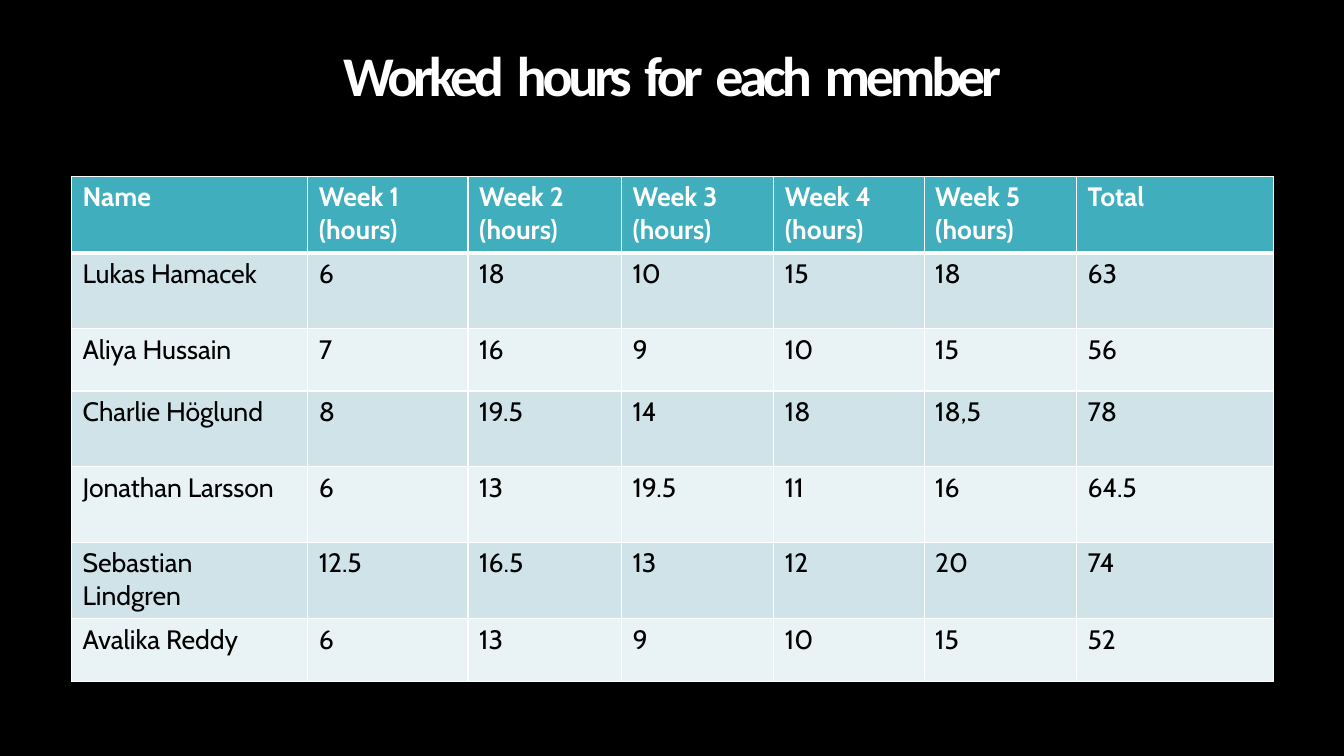
from lxml.etree import fromstring
from pptx import Presentation
from pptx.dml.color import RGBColor
from pptx.enum.text import MSO_ANCHOR, PP_ALIGN
from pptx.util import Inches, Pt

COLORS = {
    "background": "000000",
    "title": "FFFFFF",
    "header": "41AEBD",
    "header_text": "FFFFFF",
    "odd_row": "CFE3E8",
    "even_row": "E9F2F4",
    "body_text": "000000",
    "border": "FFFFFF",
}
SLIDE_WIDTH, SLIDE_HEIGHT = 13.33, 7.5
TITLE_BOX = (0, 0.43, SLIDE_WIDTH, 1.05)
TABLE_BOX = (0.71, 1.75, 11.92, 5.01)
COLUMN_WIDTHS = (2.34, 1.59, 1.52, 1.51, 1.49, 1.51, 1.95)
ROW_HEIGHTS = (0.76, 0.75, 0.62, 0.75, 0.75, 0.76, 0.62)
HEADINGS = ["Name", *(f"Week {week} (hours)" for week in range(1, 6)), "Total"]
MEMBERS = [
    ("Lukas Hamacek", "6", "18", "10", "15", "18", "63"),
    ("Aliya Hussain", "7", "16", "9", "10", "15", "56"),
    ("Charlie Höglund", "8", "19.5", "14", "18", "18,5", "78"),
    ("Jonathan Larsson", "6", "13", "19.5", "11", "16", "64.5"),
    ("Sebastian Lindgren", "12.5", "16.5", "13", "12", "20", "74"),
    ("Avalika Reddy", "6", "13", "9", "10", "15", "52"),
]
DRAWING = "http://schemas.openxmlformats.org/drawingml/2006/main"


def rgb(name):
    return RGBColor.from_string(COLORS[name])


def write_text(frame, text, *, font, size, color, bold=False,
               align=PP_ALIGN.LEFT, line_spacing=None, tracking=None):
    """Fill the first paragraph; tracking is letter spacing in points."""
    para = frame.paragraphs[0]
    para.alignment = align
    para.line_spacing = line_spacing
    span = para.add_run()
    span.text = text
    span.font.name = font
    span.font.size = Pt(size)
    span.font.bold = bold
    span.font.color.rgb = rgb(color)
    if tracking is not None:
        span.font._element.set("spc", str(round(tracking * 100)))


def set_borders(cell, top, bottom):
    """Draw the four edges, whose elements must stand before the fill."""
    properties = cell._tc.get_or_add_tcPr()
    edges = {"lnL": 1, "lnR": 1, "lnT": top, "lnB": bottom}
    for position, (edge, width) in enumerate(edges.items()):
        line = fromstring(
            f'<a:{edge} xmlns:a="{DRAWING}" w="{Pt(width)}"><a:solidFill>'
            f'<a:srgbClr val="{COLORS["border"]}"/></a:solidFill></a:{edge}>')
        properties.insert(position, line)


def add_title(page, box, text):
    frame = page.shapes.add_textbox(*map(Inches, box)).text_frame
    frame.word_wrap = False
    frame.vertical_anchor = MSO_ANCHOR.TOP
    write_text(frame, text, font="Calibri", size=40, color="title", bold=True,
               align=PP_ALIGN.CENTER, line_spacing=0.9, tracking=-3)


def add_hours_table(page, box, rows):
    left, top, width, height = map(Inches, box)
    table = page.shapes.add_table(
        len(rows), len(COLUMN_WIDTHS), left, top, width, height).table
    for column, share in zip(table.columns, COLUMN_WIDTHS):
        column.width = round(width * share / sum(COLUMN_WIDTHS))
    for row, share in zip(table.rows, ROW_HEIGHTS):
        row.height = round(height * share / sum(ROW_HEIGHTS))
    for row_number, values in enumerate(rows):
        is_header = row_number == 0
        band = "odd_row" if row_number % 2 else "even_row"
        for column_number, value in enumerate(values):
            cell = table.cell(row_number, column_number)
            cell.margin_left = cell.margin_right = Inches(0.11)
            cell.margin_top = cell.margin_bottom = Inches(0.05)
            cell.fill.solid()
            cell.fill.fore_color.rgb = rgb("header" if is_header else band)
            set_borders(cell, top=3 if row_number == 1 else 1,
                        bottom=3 if is_header else 1)
            write_text(cell.text_frame, value, font="Cabin", size=19,
                       color="header_text" if is_header else "body_text",
                       bold=is_header)


def main():
    deck = Presentation()
    deck.slide_width, deck.slide_height = Inches(SLIDE_WIDTH), Inches(SLIDE_HEIGHT)
    page = deck.slides.add_slide(deck.slide_layouts[6])
    page.background.fill.solid()
    page.background.fill.fore_color.rgb = rgb("background")
    add_title(page, TITLE_BOX, "Worked  hours  for  each  member")
    add_hours_table(page, TABLE_BOX, [HEADINGS, *MEMBERS])
    deck.save("out.pptx")


if __name__ == "__main__":
    main()
